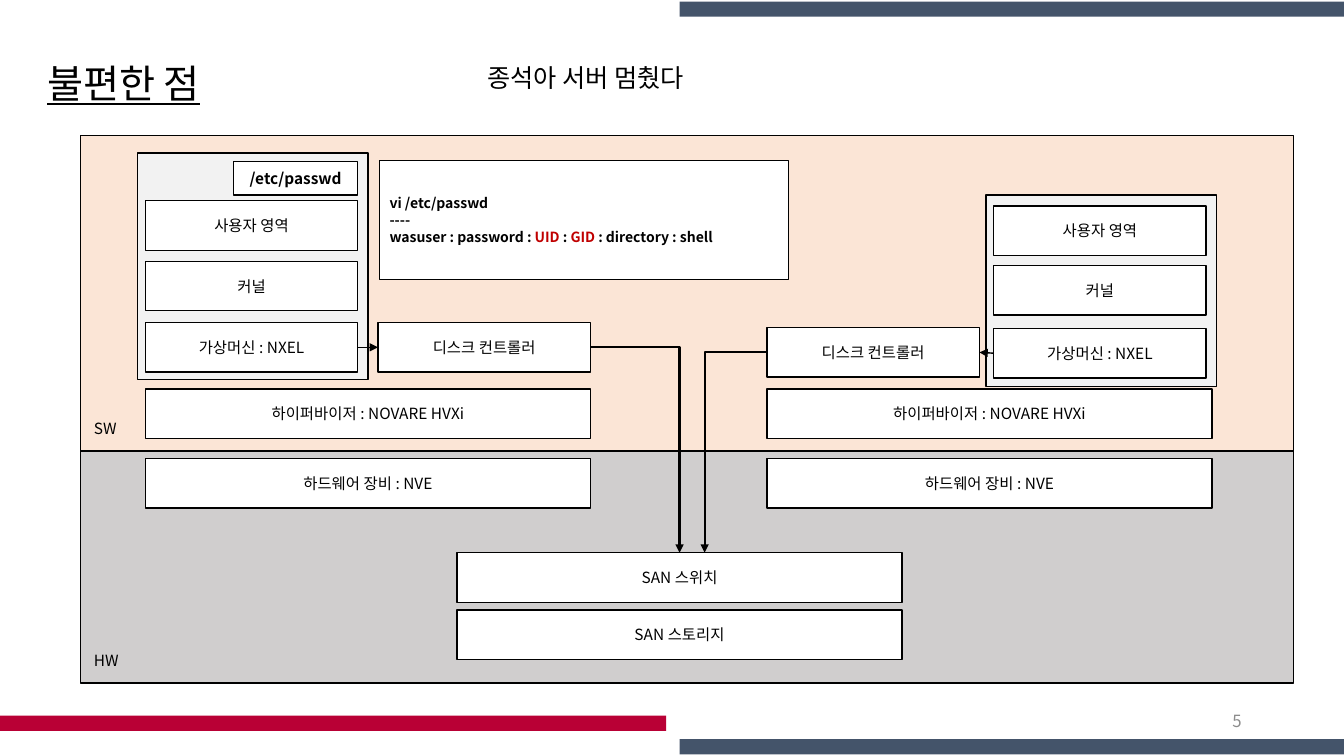
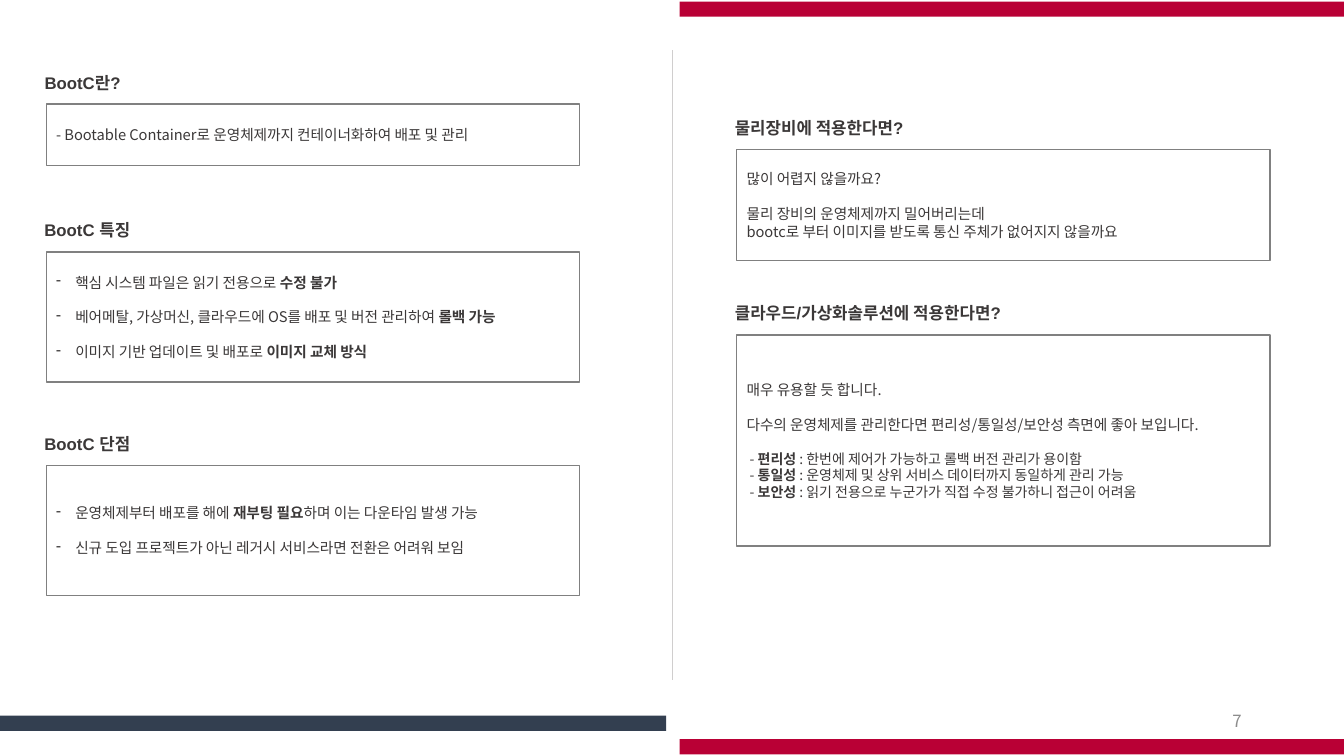
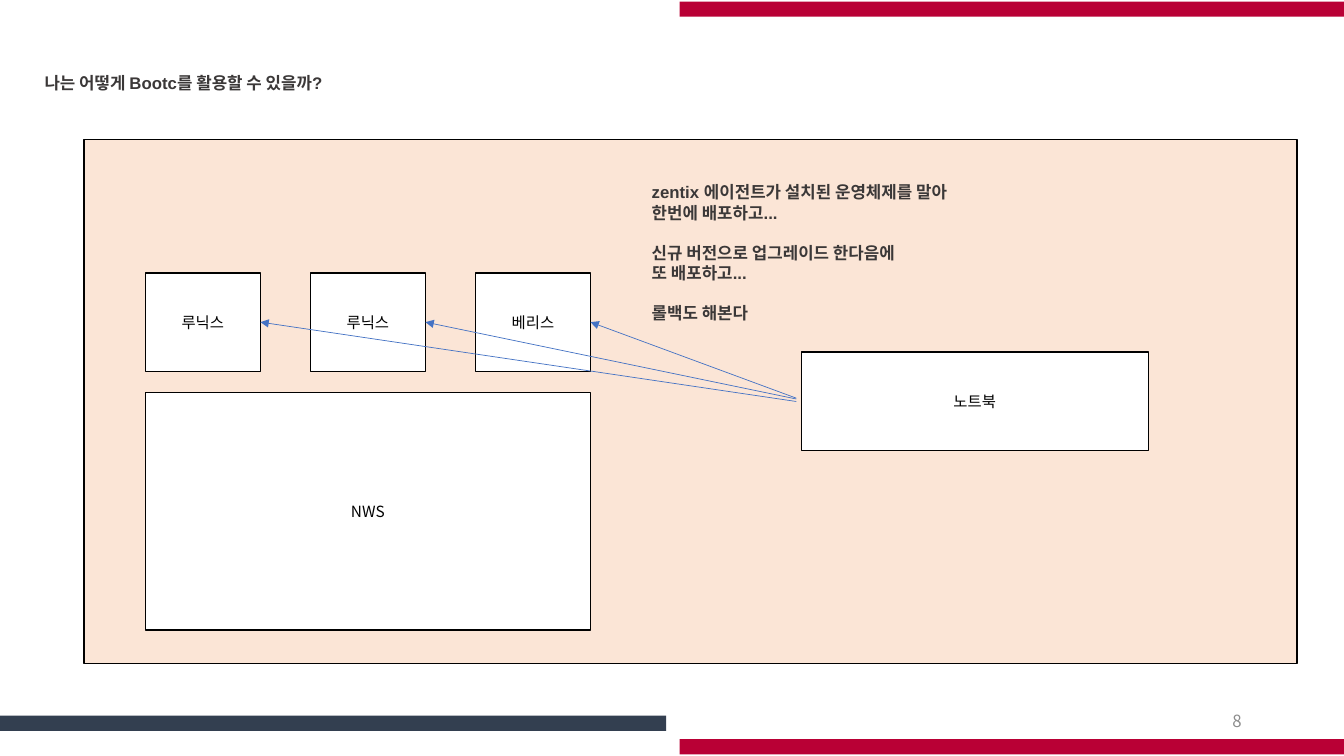
from dataclasses import dataclass

import lxml.etree
import pptx
import pptx.dml.color
import pptx.enum.shapes
import pptx.enum.text
import pptx.oxml.ns
import pptx.presentation
import pptx.shapes.autoshape
import pptx.shapes.connector
import pptx.slide
import pptx.text.text
import pptx.util

WIDTH, HEIGHT = 13.33, 7.5
COLS, ROWS = 160, 90
ALIGN = pptx.enum.text.PP_ALIGN
ANCHOR = pptx.enum.text.MSO_ANCHOR
LINE = pptx.enum.shapes.MSO_CONNECTOR
TOP, LEFT, RIGHT = 0, 1, 3


@dataclass(frozen=True)
class Theme:
    black: str = "000000"
    white: str = "FFFFFF"
    ink: str = "3B3838"
    alert: str = "C00000"
    muted: str = "8C8C8C"
    crimson: str = "B90035"
    slate: str = "44546A"
    navy: str = "333F50"
    peach: str = "FBE5D6"
    gray: str = "D0CECE"
    pale: str = "F2F2F2"
    border: str = "808080"
    arrow: str = "4472C4"
    font: str = "Noto Sans CJK KR"
    heading_font: str = "Arial"
    title_font: str = "Calibri"
    title: float = 28
    remark: float = 18
    heading: float = 12
    label: float = 11
    body: float = 10.5
    small: float = 10


T = Theme()


@dataclass(frozen=True)
class Box:
    col: float
    row: float
    cols: float
    rows: float


@dataclass(frozen=True)
class Style:
    size: float = T.label
    color: str = T.black
    font: str = T.font
    bold: bool = False
    underline: bool = False


@dataclass(frozen=True)
class Run:
    text: str
    bold: bool = False
    color: str | None = None


@dataclass(frozen=True)
class Para:
    runs: tuple[Run, ...]
    before: float = 0
    bullet: bool = False
    size: float | None = None


@dataclass(frozen=True)
class Card:
    heading: str
    col: float
    row: float
    rows: float
    paras: tuple[Para, ...]
    heading_cols: float = 36.5


LABEL = Style()
BODY = Style(T.body, T.ink)
HEADING = Style(T.heading, T.ink, T.heading_font, True)
TITLE = Style(T.title, font=T.title_font, underline=True)
REMARK = Style(T.remark)
PAGE = Style(T.heading, T.muted)
TERMINAL = Style(T.small, bold=True)


def x(col: float) -> int:
    return pptx.util.Inches(col * WIDTH / COLS)


def y(row: float) -> int:
    return pptx.util.Inches(row * HEIGHT / ROWS)


def rgb(color: str) -> pptx.dml.color.RGBColor:
    return pptx.dml.color.RGBColor.from_string(color)


def plain(text: str, before: float = 0, bullet: bool = False) -> Para:
    return Para((Run(text),), before, bullet)


def write(tf: pptx.text.text.TextFrame, paras: tuple[Para, ...], style: Style,
          align: ALIGN = ALIGN.LEFT, anchor: ANCHOR = ANCHOR.TOP) -> None:
    qn = pptx.oxml.ns.qn
    tf.word_wrap = True
    tf.auto_size = pptx.enum.text.MSO_AUTO_SIZE.NONE
    tf.vertical_anchor = anchor
    for i, para in enumerate(paras):
        p = tf.paragraphs[0] if i == 0 else tf.add_paragraph()
        p.alignment = align
        p.space_before = pptx.util.Pt(para.before)
        if para.bullet:
            pPr = p._p.get_or_add_pPr()
            indent = pptx.util.Inches(0.19)
            pPr.set("marL", str(indent))
            pPr.set("indent", str(-indent))
            lxml.etree.SubElement(pPr, qn("a:buChar")).set("char", "-")
        for run in para.runs:
            r = p.add_run()
            r.text = run.text
            r.font.size = pptx.util.Pt(para.size or style.size)
            r.font.bold = style.bold or run.bold
            r.font.underline = style.underline
            r.font.color.rgb = rgb(run.color or style.color)
            r.font.name = style.font
            ea = lxml.etree.SubElement(r._r.get_or_add_rPr(), qn("a:ea"))
            ea.set("typeface", T.font)


def rect(s: pptx.slide.Slide, box: Box, fill: str = T.white,
         line: str | None = T.black) -> pptx.shapes.autoshape.Shape:
    sp = s.shapes.add_shape(pptx.enum.shapes.MSO_SHAPE.RECTANGLE,
                            x(box.col), y(box.row), x(box.cols), y(box.rows))
    sp.shadow.inherit = False
    sp.fill.solid()
    sp.fill.fore_color.rgb = rgb(fill)
    if line:
        sp.line.color.rgb = rgb(line)
        sp.line.width = pptx.util.Pt(1)
    else:
        sp.line.fill.background()
    return sp


def node(s: pptx.slide.Slide, text: str, box: Box,
         style: Style = LABEL) -> pptx.shapes.autoshape.Shape:
    sp = rect(s, box)
    write(sp.text_frame, (plain(text),), style, ALIGN.CENTER, ANCHOR.MIDDLE)
    return sp


def textbox(s: pptx.slide.Slide, box: Box, paras: tuple[Para, ...], style: Style,
            align: ALIGN = ALIGN.LEFT, anchor: ANCHOR = ANCHOR.TOP) -> None:
    sp = s.shapes.add_textbox(x(box.col), y(box.row), x(box.cols), y(box.rows))
    write(sp.text_frame, paras, style, align, anchor)


def connect(s: pptx.slide.Slide, start: tuple[float, float], end: tuple[float, float],
            color: str = T.black, width: float = 1, arrow: bool = True,
            kind: LINE = LINE.STRAIGHT) -> pptx.shapes.connector.Connector:
    qn = pptx.oxml.ns.qn
    c = s.shapes.add_connector(kind, x(start[0]), y(start[1]), x(end[0]), y(end[1]))
    c.line.color.rgb = rgb(color)
    c.line.width = pptx.util.Pt(width)
    spPr = c._element.spPr
    if arrow:
        lxml.etree.SubElement(spPr.find(qn("a:ln")), qn("a:tailEnd")).set("type", "triangle")
    if kind == LINE.ELBOW:
        spPr.find(qn("a:prstGeom")).set("prst", "bentConnector2")
    lxml.etree.SubElement(spPr, qn("a:effectLst"))
    return c


def add_slide(prs: pptx.presentation.Presentation, title: str, box: Box, style: Style,
              page: str, right_band: str, left_band: str) -> pptx.slide.Slide:
    s = prs.slides.add_slide(prs.slide_layouts[5])
    sp = s.shapes.title
    sp.left, sp.top, sp.width, sp.height = x(box.col), y(box.row), x(box.cols), y(box.rows)
    write(sp.text_frame, (plain(title),), style)
    for col, row, color in ((80.9, 88, right_band), (0, 85.2, left_band),
                            (80.9, 0.2, right_band)):
        rect(s, Box(col, row, 79.3, 1.8), color, None)
    textbox(s, Box(113, 83.4, 36, 4.8), (plain(page),), PAGE, ALIGN.RIGHT, ANCHOR.MIDDLE)
    return s


def add_server_slide(prs: pptx.presentation.Presentation) -> None:
    s = add_slide(prs, "불편한 점", Box(4.4, 6.4, 36.5, 6.8), TITLE, "5", T.slate, T.crimson)
    for box, fill in (
        (Box(9.6, 16.1, 144.4, 37.6), T.peach),
        (Box(117.4, 23.2, 27.4, 22.8), T.pale),
        (Box(9.6, 53.7, 144.4, 27.6), T.gray),
        (Box(16.4, 18.2, 27.4, 27), T.pale),
    ):
        rect(s, box, fill)

    wide, narrow, tall = 53, 25.3, 5.9
    left, right, san_col = 17.3, 91.3, 54.4
    for col in (left, right):
        node(s, "하이퍼바이저 : NOVARE HVXi", Box(col, 46.3, wide, tall))
        node(s, "하드웨어 장비 : NVE", Box(col, 54.6, wide, tall))
    node(s, "SAN 스토리지", Box(san_col, 72.6, wide, tall))
    switch = node(s, "SAN 스위치", Box(san_col, 65.8, wide, tall))

    layers = ("사용자 영역", "커널", "가상머신 : NXEL")
    vms = []
    for col, rows in ((left, (23.9, 31.1, 38.4)), (118.3, (24.5, 31.6, 39.1))):
        stack = [node(s, text, Box(col, row, narrow, tall)) for text, row in zip(layers, rows)]
        vms.append(stack[-1])
    disks = [node(s, "디스크 컨트롤러", Box(col, row, narrow, tall))
             for col, row in ((45, 38.4), (right, 39))]

    for vm, disk, out, into in zip(vms, disks, (RIGHT, LEFT), (LEFT, RIGHT)):
        c = connect(s, (0, 0), (1, 1))
        c.begin_connect(vm, out)
        c.end_connect(disk, into)
    c = connect(s, (70.3, 41.35), (80.9, 65.8), width=1.5, kind=LINE.ELBOW)
    c.begin_connect(disks[0], RIGHT)
    c.end_connect(switch, TOP)
    c = connect(s, (right, 41.95), (83.9, 65.8), width=1.5, kind=LINE.ELBOW)
    c.begin_connect(disks[1], LEFT)

    for text, row in (("HW", 76.9), ("SW", 49.3)):
        textbox(s, Box(10, row, 40.2, 3.5), (plain(text),), LABEL)
    textbox(s, Box(56.8, 6.8, 40.2, 4.8), (plain("종석아 서버 멈췄다"),), REMARK)
    node(s, "/etc/passwd", Box(27.8, 19.2, 14.8, 4), Style(bold=True))
    terminal = rect(s, Box(45.2, 19.1, 48.7, 14.2))
    entry = Para((Run("wasuser : password : "), Run("UID", color=T.alert), Run(" : "),
                  Run("GID", color=T.alert), Run(" : directory : shell")))
    write(terminal.text_frame, (plain("vi /etc/passwd"), plain("----"), entry),
          TERMINAL, anchor=ANCHOR.MIDDLE)


def benefit(name: str, text: str, before: float = 0) -> Para:
    return Para((Run(" - "), Run(name + " ", True), Run(": " + text)), before, size=T.small)


def add_bootc_slide(prs: pptx.presentation.Presentation) -> None:
    gap = 12.4
    left, right = 4.1, 86.3
    cards = (
        Card("BootC란?", left, 8, 7.3, (
            plain("- Bootable Container로 운영체제까지 컨테이너화하여 배포 및 관리"),)),
        Card("BootC 특징", left, 25.6, 15.5, (
            Para((Run("핵심 시스템 파일은 읽기 전용으로 "), Run("수정 불가", True)), bullet=True),
            Para((Run("베어메탈, 가상머신, 클라우드에 OS를 배포 및 버전 관리하여 "),
                  Run("롤백 가능", True)), gap, True),
            Para((Run("이미지 기반 업데이트 및 배포로 "), Run("이미지 교체 방식", True)), gap, True))),
        Card("BootC 단점", left, 51, 15.5, (
            Para((Run("운영체제부터 배포를 해에 "), Run("재부팅 필요", True),
                  Run("하며 이는 다운타임 발생 가능")), bullet=True),
            plain("신규 도입 프로젝트가 아닌 레거시 서비스라면 전환은 어려워 보임", gap, True))),
        Card("물리장비에 적용한다면?", right, 13.4, 13.2, (
            plain("많이 어렵지 않을까요?"),
            plain("물리 장비의 운영체제까지 밀어버리는데", gap),
            plain("bootc로 부터 이미지를 받도록 통신 주체가 없어지지 않을까요"))),
        Card("클라우드/가상화솔루션에 적용한다면?", right, 35.5, 25.1, (
            plain("매우 유용할 듯 합니다."),
            plain("다수의 운영체제를 관리한다면 편리성/통일성/보안성 측면에 좋아 보입니다.", gap),
            benefit("편리성", "한번에 제어가 가능하고 롤백 버전 관리가 용이함", 12),
            benefit("통일성", "운영체제 및 상위 서비스 데이터까지 동일하게 관리 가능"),
            benefit("보안성", "읽기 전용으로 누군가가 직접 수정 불가하니 접근이 어려움")), 47.3),
    )
    s = add_slide(prs, cards[0].heading, Box(left, 8, 36.5, 3.6), HEADING,
                  "7", T.crimson, T.navy)
    connect(s, (80, 6), (80, 80.9), T.gray, 0.5, arrow=False)
    for i, card in enumerate(cards):
        if i:
            textbox(s, Box(card.col, card.row, card.heading_cols, 3.6),
                    (plain(card.heading),), HEADING)
        sp = rect(s, Box(card.col + 1.4, card.row + 4.4, 63.5, card.rows), line=T.border)
        write(sp.text_frame, card.paras, BODY, anchor=ANCHOR.MIDDLE)


def add_usage_slide(prs: pptx.presentation.Presentation) -> None:
    s = add_slide(prs, "나는 어떻게 Bootc를 활용할 수 있을까?", Box(4.1, 8, 45, 3.6), HEADING,
                  "8", T.crimson, T.navy)
    rect(s, Box(10, 16.6, 144.4, 62.4), T.peach)
    node(s, "NWS", Box(17.3, 46.7, 53, 28.3))
    hosts = [node(s, text, Box(17.3 + i * 19.65, 32.5, 13.7, 11.7))
             for i, text in enumerate(("루닉스", "루닉스", "베리스"))]
    node(s, "노트북", Box(95.4, 41.9, 41.3, 11.7))
    for host, row in zip(hosts, (47.8, 47.5, 47.4)):
        c = connect(s, (94.8, row), (70, 38), T.arrow, 0.5)
        c.end_connect(host, RIGHT)
    gap = 14.4
    textbox(s, Box(76.4, 21.1, 45, 18.1), (
        plain("zentix 에이전트가 설치된 운영체제를 말아"),
        plain("한번에 배포하고..."),
        plain("신규 버전으로 업그레이드 한다음에", gap),
        plain("또 배포하고..."),
        plain("롤백도 해본다", gap)), HEADING)


def main() -> None:
    prs = pptx.Presentation()
    prs.slide_width = pptx.util.Inches(WIDTH)
    prs.slide_height = pptx.util.Inches(HEIGHT)
    add_server_slide(prs)
    add_bootc_slide(prs)
    add_usage_slide(prs)
    prs.save("out.pptx")


if __name__ == "__main__":
    main()
